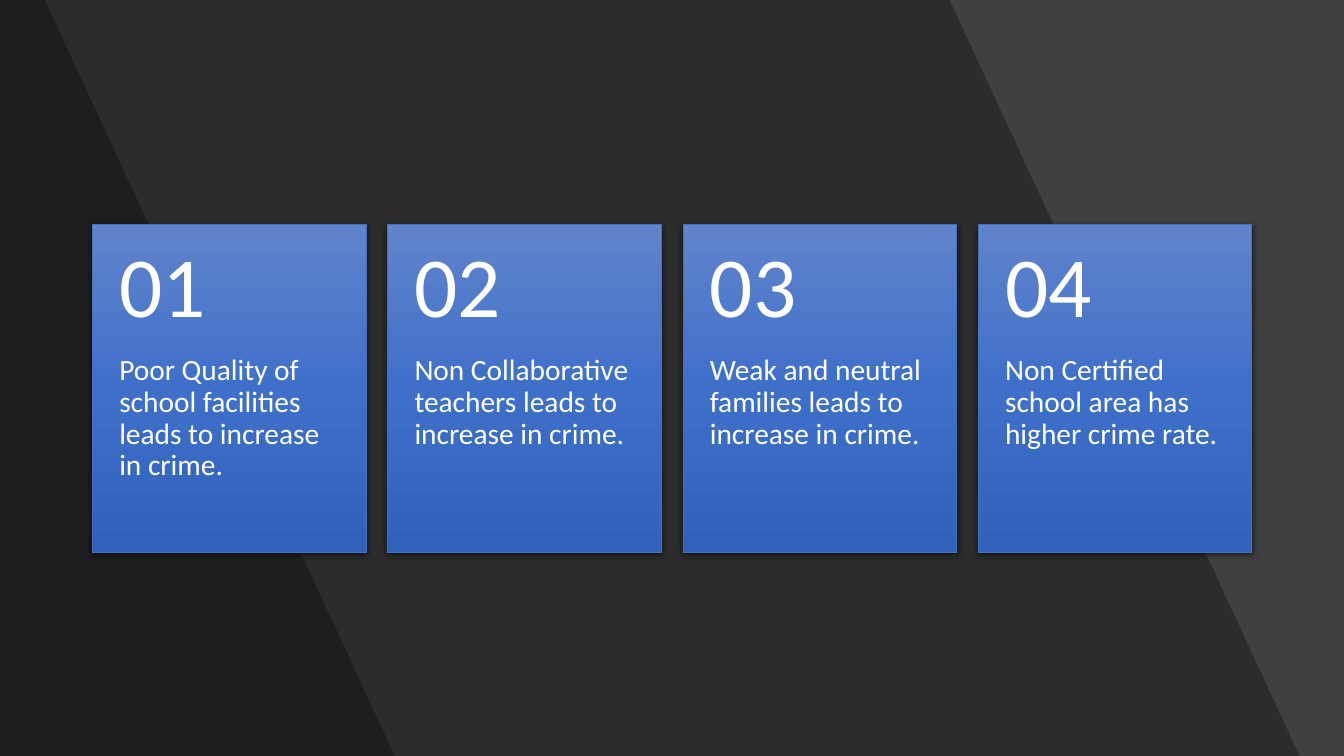
from lxml import etree
from pptx import Presentation
from pptx.dml.color import RGBColor
from pptx.enum import shapes, text
from pptx.oxml.ns import qn
from pptx.util import Pt

COLORS = {"background": "404040", "band": "000000", "shadow": "000000",
          "text": "FFFFFF", "border": "4472C4",
          "card_top": "6183CB", "card_middle": "3E70CA", "card_bottom": "3062BB"}


def rgb(name):
    return RGBColor.from_string(COLORS[name])


def add_text(s, content, left, top, width, height, size, inset_top, inset_bottom, anchor):
    tf = s.shapes.add_textbox(Pt(left), Pt(top), Pt(width), Pt(height)).text_frame
    tf.word_wrap = True
    tf.vertical_anchor = anchor
    tf.margin_left = tf.margin_right = Pt(19.2)
    tf.margin_top, tf.margin_bottom = Pt(inset_top), Pt(inset_bottom)
    p = tf.paragraphs[0]
    p.line_spacing = 0.9
    r = p.add_run()
    r.text = content
    r.font.name, r.font.size = "Calibri", Pt(size)
    r.font.color.rgb = rgb("text")


prs = Presentation()
prs.slide_width, prs.slide_height = Pt(960), Pt(540)
s = prs.slides.add_slide(prs.slide_layouts[6])
s.background.fill.solid()
s.background.fill.fore_color.rgb = rgb("background")

# Slanted translucent bands
for top_right, bottom_right in [(678.3, 928.3), (32, 282)]:
    outline = s.shapes.build_freeform(0, 0, scale=1.0)
    outline.add_line_segments([(Pt(top_right), 0), (Pt(bottom_right), Pt(540)), (0, Pt(540))])
    band = outline.convert_to_shape()
    band.shadow.inherit = False
    band.line.fill.background()
    band.fill.solid()
    band.fill.fore_color.rgb = rgb("band")
    color = next(band.element.spPr.iter(qn("a:srgbClr")))
    etree.SubElement(color, qn("a:alpha"), val="30000")

# Numbered cards
LEFT, TOP, STEP = 66, 160, 210.9
WIDTH, HEIGHT, NUMBER_HEIGHT = 195.4, 234.4, 93.8
findings = ["Poor Quality of school facilities leads to increase in crime.",
            "Non Collaborative teachers leads to increase in crime.",
            "Weak and neutral families leads to increase in crime.",
            "Non Certified school area has higher crime rate."]

for i, finding in enumerate(findings):
    left = LEFT + i * STEP
    card = s.shapes.add_shape(shapes.MSO_SHAPE.RECTANGLE,
                              Pt(left), Pt(TOP), Pt(WIDTH), Pt(HEIGHT))
    card.line.color.rgb = rgb("border")
    card.line.width = Pt(0.5)

    # Three-stop vertical gradient
    card.fill.gradient()
    card.fill.gradient_angle = 270
    stops = next(card.element.spPr.iter(qn("a:gsLst")))
    for stop in list(stops):
        stops.remove(stop)
    for position, name in [(0, "card_top"), (50, "card_middle"), (100, "card_bottom")]:
        stop = etree.SubElement(stops, qn("a:gs"), pos=str(position * 1000))
        etree.SubElement(stop, qn("a:srgbClr"), val=COLORS[name])

    # Soft drop shadow
    card.shadow.inherit = False
    effects = card.element.spPr.find(qn("a:effectLst"))
    shadow = etree.SubElement(effects, qn("a:outerShdw"), blurRad=str(Pt(4.5)),
                              dist=str(Pt(1.5)), dir="5400000", algn="ctr", rotWithShape="0")
    color = etree.SubElement(shadow, qn("a:srgbClr"), val=COLORS["shadow"])
    etree.SubElement(color, qn("a:alpha"), val="63000")

    add_text(s, finding, left, TOP + NUMBER_HEIGHT, WIDTH, HEIGHT - NUMBER_HEIGHT, size=21,
             inset_top=0, inset_bottom=26, anchor=text.MSO_ANCHOR.TOP)
    add_text(s, f"{i + 1:02}", left, TOP, WIDTH, NUMBER_HEIGHT, size=61,
             inset_top=13, inset_bottom=13, anchor=text.MSO_ANCHOR.MIDDLE)

prs.save("out.pptx")
